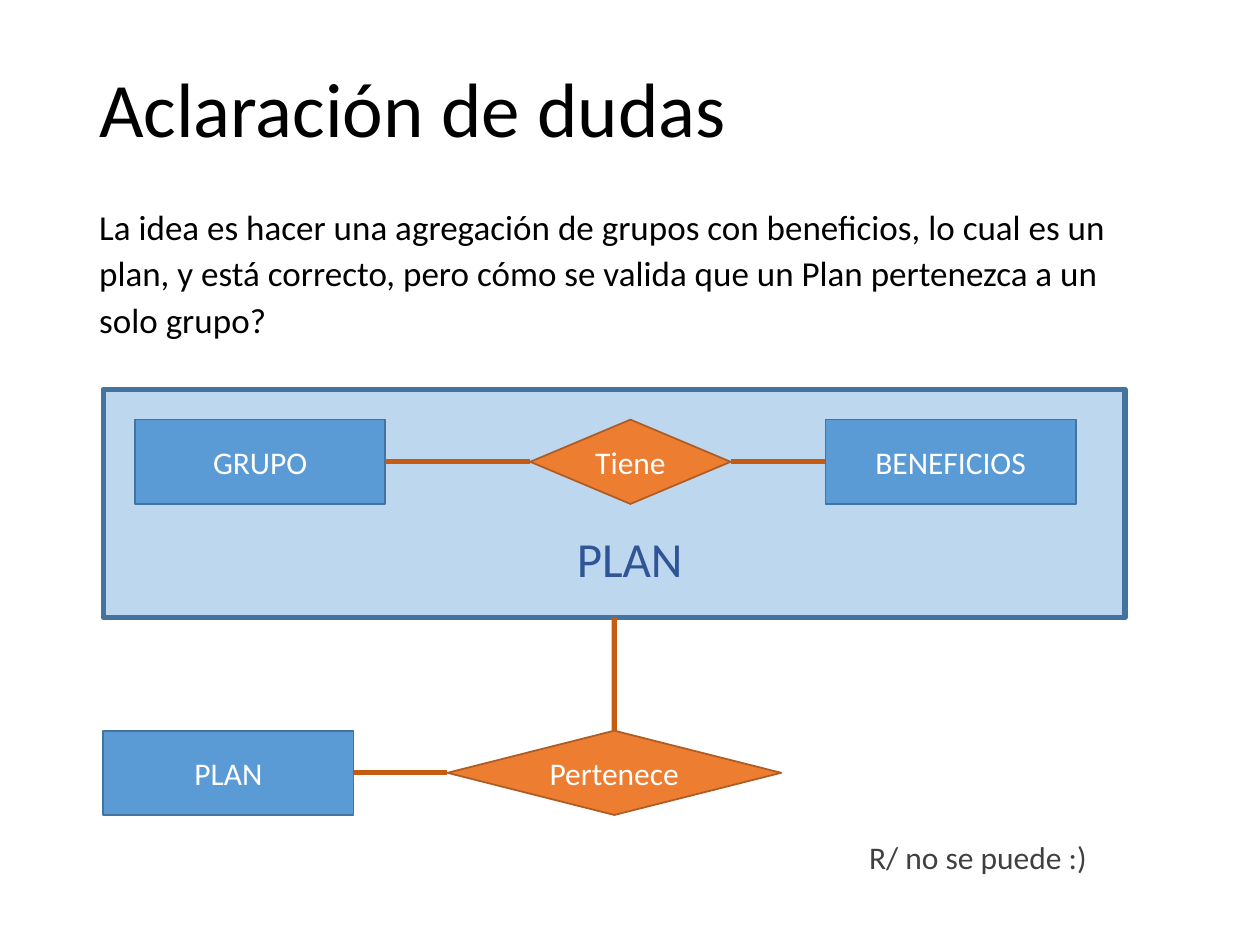
"""Build the slide on a plan that joins groups and benefits."""
import pptx
import pptx.dml.color
import pptx.enum.shapes
import pptx.enum.text
import pptx.oxml.ns
import pptx.util
import lxml.etree

Cm = pptx.util.Cm
Pt = pptx.util.Pt
KIND = pptx.enum.shapes.MSO_SHAPE
ALIGN = pptx.enum.text.PP_ALIGN
ANCHOR = pptx.enum.text.MSO_ANCHOR
FIT = pptx.enum.text.MSO_AUTO_SIZE

COLORS = {
    "black": "000000",
    "white": "FFFFFF",
    "gray": "404040",
    "navy": "2F5597",
    "pale": "BDD7EE",
    "blue": "5B9BD5",
    "edge": "43739E",
    "orange": "ED7D31",
    "rust": "AF5C24",
    "link": "C55A11",
}
TOP, LEFT, BOTTOM, RIGHT = range(4)
ROW_ONE, ROW_TWO = 8.46, 14.73
BOX_WIDTH, ROW_HEIGHT = 5.05, 1.7
MARGIN = 2.08


def color(name):
    return pptx.dml.color.RGBColor.from_string(COLORS[name])


def write(frame, text, size=18, ink="white", align=ALIGN.LEFT,
          anchor=ANCHOR.TOP, wrap=True, fit=FIT.NONE, lines=None, before=None):
    frame.word_wrap = wrap
    frame.auto_size = fit
    frame.vertical_anchor = anchor
    para = frame.paragraphs[0]
    para.alignment = align
    para.line_spacing = lines
    para.space_before = before
    run = para.add_run()
    run.text = text
    run.font.name = "Calibri"
    run.font.size = Pt(size)
    run.font.color.rgb = color(ink)


def label(slide, text, place, **style):
    box = slide.shapes.add_textbox(*map(Cm, place))
    write(box.text_frame, text, **style)


def block(slide, kind, place, fill, edge, width=1, text=None):
    shape = slide.shapes.add_shape(kind, *map(Cm, place))
    shape.shadow.inherit = False
    shape.fill.solid()
    shape.fill.fore_color.rgb = color(fill)
    shape.line.color.rgb = color(edge)
    shape.line.width = Pt(width)
    if text:
        write(shape.text_frame, text, align=ALIGN.CENTER, anchor=ANCHOR.MIDDLE)
    return shape


def table(slide, text, left, top):
    return block(slide, KIND.RECTANGLE, (left, top, BOX_WIDTH, ROW_HEIGHT),
                 "blue", "edge", text=text)


def diamond(slide, text, left, top, width):
    return block(slide, KIND.DIAMOND, (left, top, width, ROW_HEIGHT),
                 "orange", "rust", text=text)


def link(slide, start, start_side, end, end_side):
    line = slide.shapes.add_connector(
        pptx.enum.shapes.MSO_CONNECTOR.STRAIGHT, 0, 0, 0, 0)
    line.begin_connect(start, start_side)
    line.end_connect(end, end_side)
    line.line.color.rgb = color("link")
    line.line.width = Pt(3)
    lxml.etree.SubElement(line._element.spPr, pptx.oxml.ns.qn("a:effectLst"))


def main():
    deck = pptx.Presentation()
    deck.slide_width, deck.slide_height = Cm(25.4), Cm(19.05)
    slide = deck.slides.add_slide(deck.slide_layouts[6])

    frame = block(slide, KIND.RECTANGLE, (MARGIN, 7.85, 20.6, 4.6),
                  "pale", "edge", width=3)
    label(slide, "Aclaración de dudas", (1.75, 1.02, 21.9, 2.49),
          size=44, ink="black", anchor=ANCHOR.MIDDLE, lines=0.9)
    label(slide, "La idea es hacer una agregación de grupos con beneficios, "
          "lo cual es un plan, y está correcto, pero cómo se valida que un "
          "Plan pertenezca a un solo grupo?", (1.75, 3.94, 21.9, 3.43),
          size=20, ink="black", lines=1.1, before=Pt(10))

    group = table(slide, "GRUPO", 2.72, ROW_ONE)
    perks = table(slide, "BENEFICIOS", 16.64, ROW_ONE)
    has = diamond(slide, "Tiene", 10.69, ROW_ONE, 4.04)
    plan = table(slide, "PLAN", MARGIN, ROW_TWO)
    belongs = diamond(slide, "Pertenece", 9.02, ROW_TWO, 6.73)

    for ends in (
        (group, RIGHT, has, LEFT),
        (perks, LEFT, has, RIGHT),
        (belongs, TOP, frame, BOTTOM),
        (belongs, LEFT, plan, RIGHT),
    ):
        link(slide, *ends)

    label(slide, "PLAN", (11.38, 10.52, 2.64, 1.45), size=28, ink="navy",
          wrap=False, fit=FIT.SHAPE_TO_FIT_TEXT)
    label(slide, "R/ no se puede :)", (17.27, 16.76, 5.38, 1.02), ink="gray",
          fit=FIT.SHAPE_TO_FIT_TEXT)
    deck.save("out.pptx")


main()
